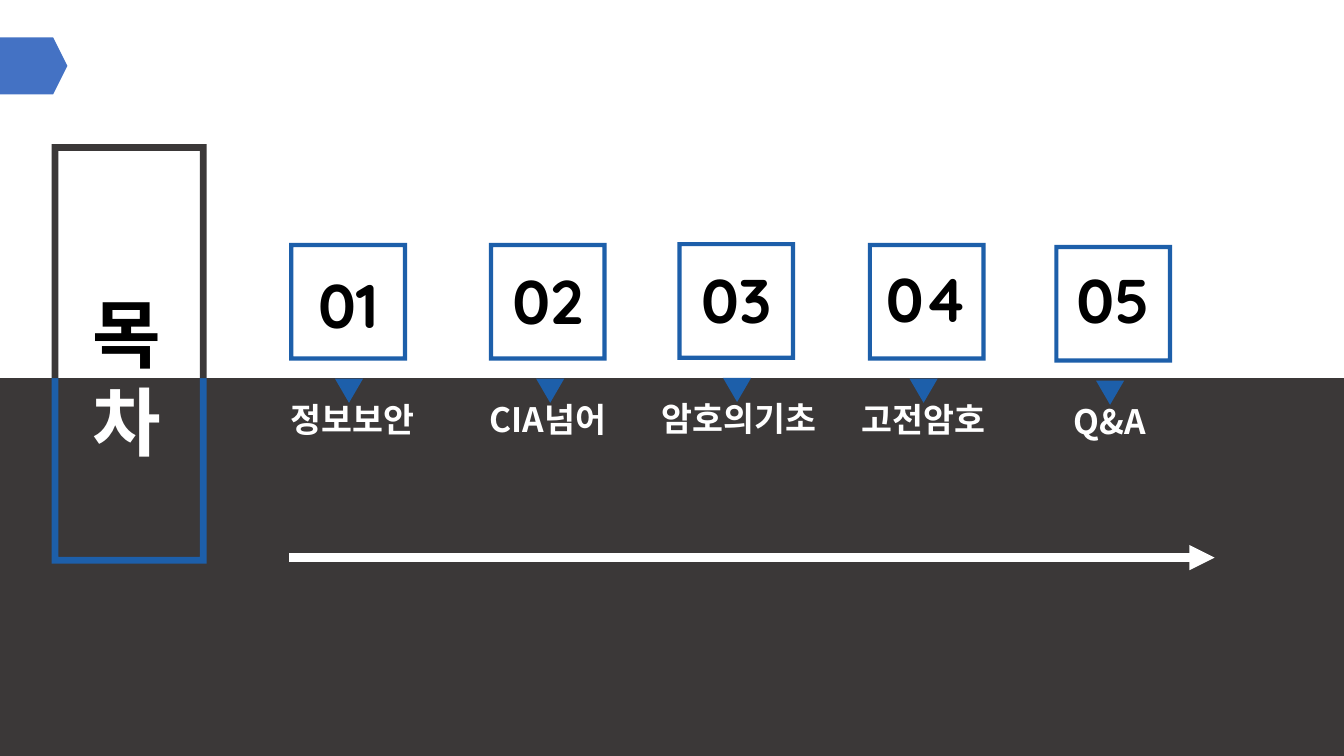
from lxml import etree
from pptx import Presentation
from pptx.dml.color import RGBColor
from pptx.enum.shapes import MSO_CONNECTOR, MSO_SHAPE
from pptx.enum.text import PP_ALIGN
from pptx.oxml.ns import qn
from pptx.util import Cm, Pt

RECT = MSO_SHAPE.RECTANGLE
FRAME = MSO_SHAPE.FRAME
TRIANGLE = MSO_SHAPE.ISOSCELES_TRIANGLE
STRAIGHT = MSO_CONNECTOR.STRAIGHT
CENTER = PP_ALIGN.CENTER

KOREAN = "Noto Sans CJK KR"
LATIN = "Quicksand"
BLUE = "1D5FAA"
DARK = "3B3838"
WHITE = "FFFFFF"
BLACK = "000000"

WIDE, HIGH = 33.87, 19.05
MID = HIGH / 2
SIDE = 2.97

# number, label, left, top, label shift, pointer shift, number drop
ITEMS = [
    ("01", "정보보안", 7.29, 6.12, 0.11, 0.02, 0.48),
    ("02", "CIA넘어", 12.32, 6.12, 0, 0.06, 0.38),
    ("03", "암호의기초", 17.07, 6.1, 0.06, 0.02, 0.38),
    ("04", "고전암호", 21.87, 6.12, -0.08, -0.08, 0.33),
    ("05", "Q&A", 26.57, 6.17, -0.08, -0.08, 0.31),
]


def color(code):
    return RGBColor.from_string(code)


def paint(shape, code):
    shape.shadow.inherit = False
    shape.fill.solid()
    shape.fill.fore_color.rgb = color(code)
    shape.line.fill.background()


def add_block(slide, kind, x, y, w, h, code):
    shape = slide.shapes.add_shape(kind, Cm(x), Cm(y), Cm(w), Cm(h))
    paint(shape, code)
    return shape


def add_path(slide, points, code):
    spots = [(Cm(x), Cm(y)) for x, y in points]
    path = slide.shapes.build_freeform(*spots[0])
    path.add_line_segments(spots[1:], close=True)
    paint(path.convert_to_shape(), code)


def add_text(slide, x, y, w, h, lines, size, face, pitch=None, wrap=True):
    frame = slide.shapes.add_textbox(Cm(x), Cm(y), Cm(w), Cm(h)).text_frame
    frame.word_wrap = wrap
    frame.text = "\n".join(text for text, code in lines)
    for part, (text, code) in zip(frame.paragraphs, lines):
        part.alignment = CENTER
        if pitch:
            part.line_spacing = Pt(pitch)
        for run in part.runs:
            run.font.size = Pt(size)
            run.font.bold = True
            run.font.name = face
            run.font.color.rgb = color(code)
            east = etree.SubElement(run.font._element, qn("a:ea"))
            east.set("typeface", face)


def add_ground(slide):
    y, h, w, tip = 0.94, 1.44, 1.7, 0.36
    flag = [(0, y), (w - tip, y), (w, y + h / 2), (w - tip, y + h), (0, y + h)]
    add_path(slide, flag, "4472C4")
    add_block(slide, RECT, 0, MID, WIDE, HIGH - MID, DARK)


def add_title(slide, x, y, w, h):
    wall = 0.17
    for edge, inner, code in [
        (y + h, y + h - wall, BLUE),
        (y, y + wall, DARK),
    ]:
        points = [
            (x, MID), (x + wall, MID), (x + wall, inner),
            (x + w - wall, inner), (x + w - wall, MID),
            (x + w, MID), (x + w, edge), (x, edge),
        ]
        add_path(slide, points, code)
    lines = [("목", BLACK), ("차", WHITE)]
    add_text(slide, x + 0.7, y + 3.53, 2.41, 4.83, lines, 53.3, KOREAN, 63, False)


def add_item(slide, number, label, x, y, shift, nudge, drop):
    center = x + SIDE / 2
    wide, tip = 5.84, 0.71
    add_text(slide, center + shift - wide / 2, y + 3.81, wide, 1.27,
             [(label, WHITE)], 24, KOREAN, 28.4)
    box = add_block(slide, FRAME, x, y, SIDE, SIDE, BLUE)
    box.adjustments[0] = 0.036
    mark = add_block(slide, TRIANGLE, center + nudge - tip / 2, y + 3.42,
                     tip, 0.61, BLUE)
    mark.rotation = 180
    add_text(slide, x, y + drop, SIDE, 2.13, [(number, BLACK)], 44, LATIN)


def add_arrow(slide, x, y, w):
    arrow = slide.shapes.add_connector(STRAIGHT, Cm(x), Cm(y), Cm(x + w), Cm(y))
    arrow.line.color.rgb = color(WHITE)
    arrow.line.width = Pt(6)
    tail = etree.SubElement(arrow.line._get_or_add_ln(), qn("a:tailEnd"))
    tail.set("type", "triangle")
    etree.SubElement(arrow._element.spPr, qn("a:effectLst"))


def main():
    deck = Presentation()
    deck.slide_width, deck.slide_height = Cm(WIDE), Cm(HIGH)
    slide = deck.slides.add_slide(deck.slide_layouts[6])
    add_ground(slide)
    add_title(slide, 1.3, 3.63, 3.91, 10.57)
    for item in ITEMS:
        add_item(slide, *item)
    add_arrow(slide, 7.29, 14.05, 23.32)
    deck.save("out.pptx")


if __name__ == "__main__":
    main()
